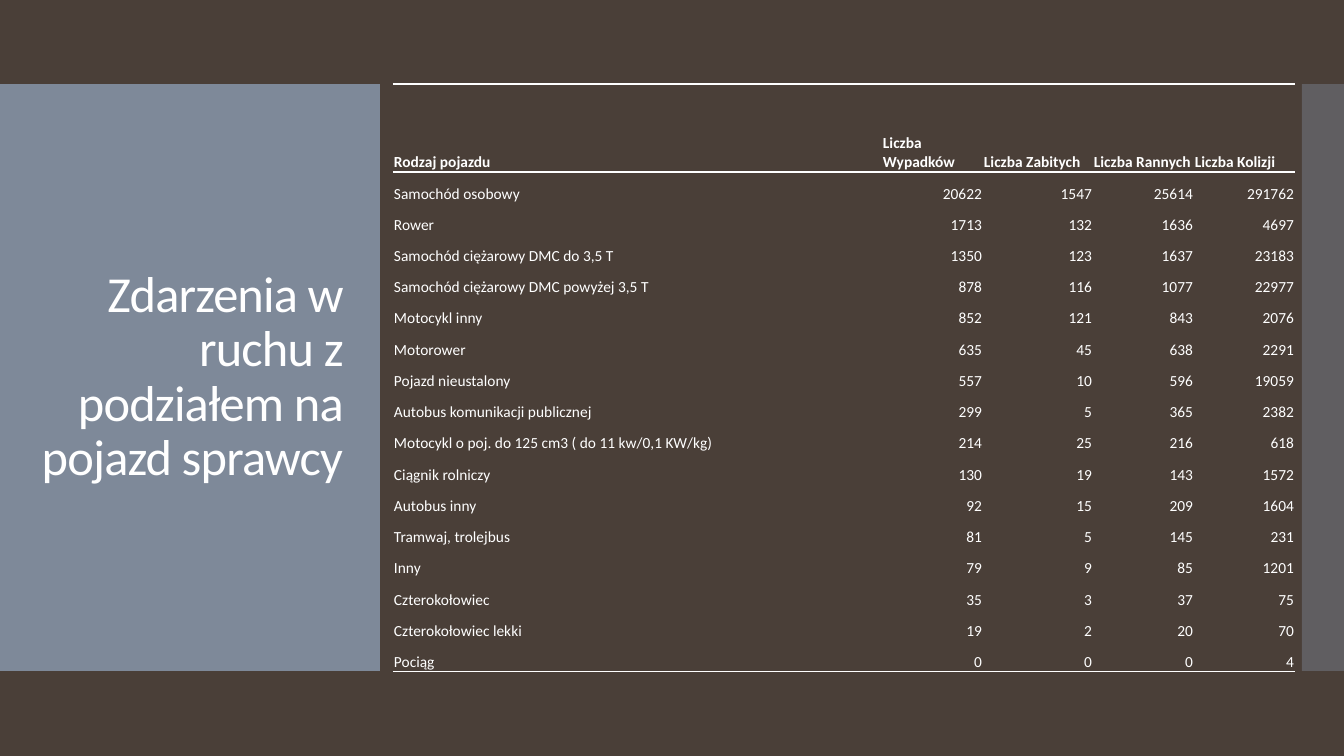
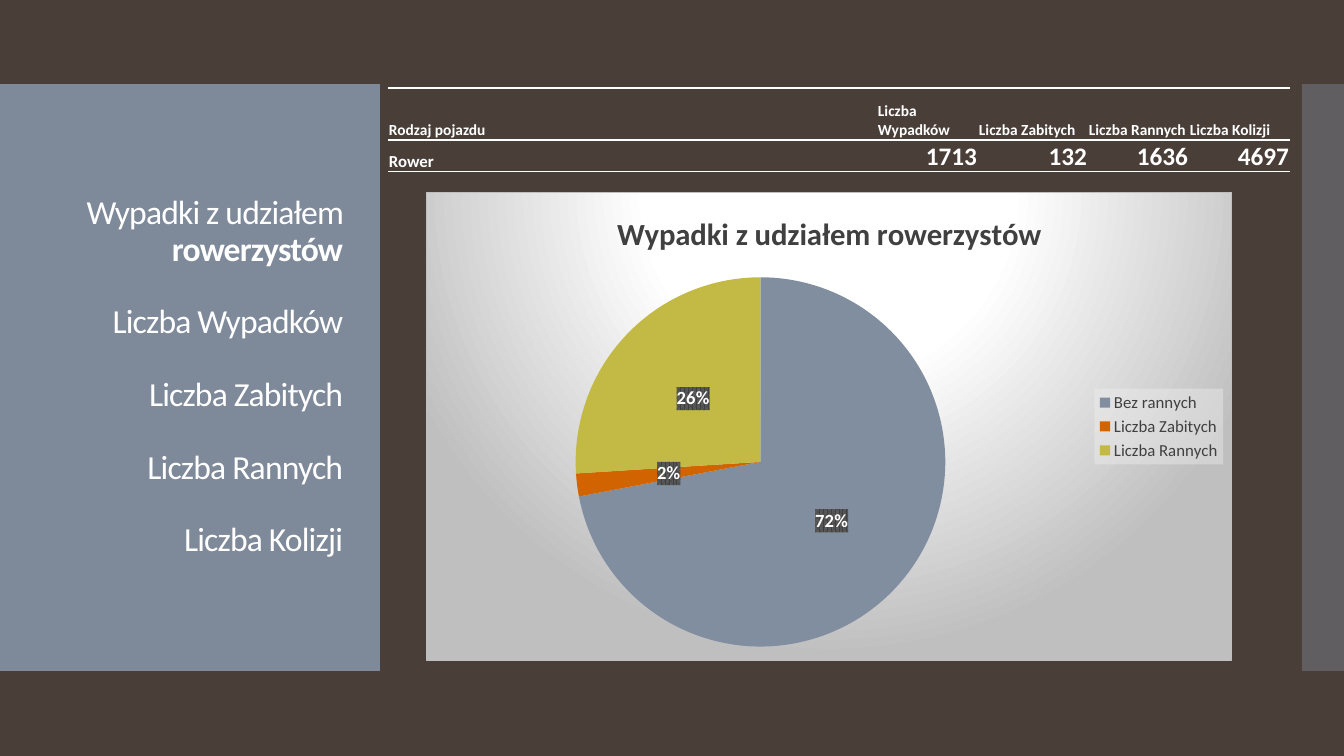
from lxml import etree
from pptx import Presentation
from pptx.chart.data import CategoryChartData
from pptx.dml.color import RGBColor
from pptx.enum.chart import XL_CHART_TYPE, XL_LABEL_POSITION, XL_LEGEND_POSITION
from pptx.enum.shapes import MSO_SHAPE
from pptx.enum.text import MSO_ANCHOR, PP_ALIGN
from pptx.oxml import parse_xml
from pptx.oxml.ns import nsdecls, qn
from pptx.util import Pt

PIE = XL_CHART_TYPE.PIE
LABEL_CENTER = XL_LABEL_POSITION.CENTER
LEGEND_RIGHT = XL_LEGEND_POSITION.RIGHT
RECTANGLE = MSO_SHAPE.RECTANGLE
MIDDLE, BOTTOM = MSO_ANCHOR.MIDDLE, MSO_ANCHOR.BOTTOM
LEFT, RIGHT = PP_ALIGN.LEFT, PP_ALIGN.RIGHT

SLIDE_WIDTH, SLIDE_HEIGHT = 1344, 756
EMU_PER_PX = 12192000 / SLIDE_WIDTH

BROWN = RGBColor(0x4A, 0x3F, 0x38)
SLATE = RGBColor(0x81, 0x8E, 0x9F)
ORANGE = RGBColor(0xD2, 0x64, 0x00)
OLIVE = RGBColor(0xC3, 0xBA, 0x45)
WHITE = RGBColor(0xFF, 0xFF, 0xFF)
PALE = RGBColor(0xF2, 0xF2, 0xF2)
SILVER = RGBColor(0xBF, 0xBF, 0xBF)
CHARCOAL = RGBColor(0x40, 0x40, 0x40)
GRAPHITE = RGBColor(0x59, 0x59, 0x59)

FONT = "Calibri"
PLAIN_TABLE_STYLE = "{2D5ABB26-0587-4C30-8999-92F81FD0307C}"

BANDS = [((0, 84, 380, 587), 95), ((1302, 84, 42, 587), 40)]
TITLE_BOX = (28, 124, 325, 507)
COLUMN_WIDTHS = [489, 101, 110, 101, 101]

HEADER = ["Rodzaj pojazdu", "Liczba Wypadków", "Liczba Zabitych",
          "Liczba Rannych", "Liczba Kolizji"]
VEHICLES = [
    ["Samochód osobowy", 20622, 1547, 25614, 291762],
    ["Rower", 1713, 132, 1636, 4697],
    ["Samochód ciężarowy DMC do 3,5 T", 1350, 123, 1637, 23183],
    ["Samochód ciężarowy DMC powyżej 3,5 T", 878, 116, 1077, 22977],
    ["Motocykl inny", 852, 121, 843, 2076],
    ["Motorower", 635, 45, 638, 2291],
    ["Pojazd nieustalony", 557, 10, 596, 19059],
    ["Autobus komunikacji publicznej", 299, 5, 365, 2382],
    ["Motocykl o poj. do 125 cm3 ( do 11 kw/0,1 KW/kg)", 214, 25, 216, 618],
    ["Ciągnik rolniczy", 130, 19, 143, 1572],
    ["Autobus inny", 92, 15, 209, 1604],
    ["Tramwaj, trolejbus", 81, 5, 145, 231],
    ["Inny", 79, 9, 85, 1201],
    ["Czterokołowiec", 35, 3, 37, 75],
    ["Czterokołowiec lekki", 19, 2, 20, 70],
    ["Pociąg", 0, 0, 0, 4],
]
BICYCLES = VEHICLES[1]
PIE_SLICES = [("Bez rannych", 72, SLATE), ("Liczba Zabitych", 2, ORANGE),
              ("Liczba Rannych", 26, OLIVE)]


def px(length):
    return round(length * EMU_PER_PX)


def place(box):
    return [px(length) for length in box]


def set_attributes(target, values):
    for name, value in values.items():
        setattr(target, name, value)


def format_font(font, size, color=WHITE, bold=False):
    set_attributes(font, {"name": FONT, "size": Pt(size), "bold": bold})
    font.color.rgb = color


def set_alpha(shape, percent):
    color = shape.element.spPr.find(".//" + qn("a:srgbClr"))
    etree.SubElement(color, qn("a:alpha"), val=str(percent * 1000))


def add_bands(slide):
    """Draw the two side bands behind everything else on the slide."""
    for position, (box, opacity) in enumerate(BANDS, start=2):
        band = slide.shapes.add_shape(RECTANGLE, *place(box))
        band.shadow.inherit = False
        band.line.fill.background()
        band.fill.solid()
        band.fill.fore_color.rgb = SLATE
        set_alpha(band, opacity)
        slide.shapes.element.insert(position, band.element)


def fill_title(title, box, paragraphs, size, gap=0):
    """Each paragraph is a list of (text, bold) runs; gap is in points."""
    set_attributes(title, dict(zip(("left", "top", "width", "height"), place(box))))
    frame = title.text_frame
    set_attributes(frame, {"word_wrap": True, "vertical_anchor": MIDDLE})
    for index, runs in enumerate(paragraphs):
        paragraph = frame.add_paragraph() if index else frame.paragraphs[0]
        set_attributes(paragraph, {
            "alignment": RIGHT, "line_spacing": 0.9,
            "space_before": Pt(gap if index else 0)})
        for text, bold in runs:
            run = paragraph.add_run()
            run.text = text
            format_font(run.font, size, bold=bold)
            run._r.get_or_add_rPr().set("spc", "-60")


def add_titled_slide(presentation, paragraphs, size, gap=0):
    slide = presentation.slides.add_slide(presentation.slide_layouts[5])
    add_bands(slide)
    fill_title(slide.shapes.title, TITLE_BOX, paragraphs, size, gap)
    return slide


def rule_cell(cell, sides):
    properties = cell._tc.get_or_add_tcPr()
    for position, side in enumerate(sides):
        properties.insert(position, parse_xml(
            f'<a:{side} {nsdecls("a")} w="12700">{solid_xml(WHITE)}</a:{side}>'))


def fill_cell(cell, value, size, bold):
    set_attributes(cell, {
        "margin_left": px(1), "margin_right": px(1), "margin_top": px(1),
        "margin_bottom": 0, "vertical_anchor": BOTTOM})
    cell.fill.background()
    paragraph = cell.text_frame.paragraphs[0]
    paragraph.alignment = RIGHT if isinstance(value, int) else LEFT
    run = paragraph.add_run()
    run.text = str(value)
    format_font(run.font, size, bold=bold)


def add_ruled_table(slide, box, rows, first_height, label_size=11, value_size=11):
    """The first row is bold and ruled; later rows share the height left."""
    frame = slide.shapes.add_table(len(rows), len(COLUMN_WIDTHS), *place(box))
    table = frame.table
    set_attributes(table, {"first_row": False, "horz_banding": False})
    table._tbl.tblPr.find(qn("a:tableStyleId")).text = PLAIN_TABLE_STYLE
    for column, width in zip(table.columns, COLUMN_WIDTHS):
        column.width = px(width)
    last = len(rows) - 1
    for index, values in enumerate(rows):
        first = index == 0
        height = first_height if first else (box[3] - first_height) / last
        table.rows[index].height = px(height)
        sides = ["lnT", "lnB"] if first else ["lnB"] if index == last else []
        for cell, value in zip(table.rows[index].cells, values):
            size = value_size if isinstance(value, int) else label_size
            fill_cell(cell, value, size, bold=first)
            rule_cell(cell, sides)


def color_xml(color, opacity=100):
    return f'<a:srgbClr val="{color}"><a:alpha val="{opacity * 1000}"/></a:srgbClr>'


def solid_xml(color, opacity=100):
    return f'<a:solidFill>{color_xml(color, opacity)}</a:solidFill>'


def chart_properties(content):
    return parse_xml(f'<c:spPr {nsdecls("c", "a")}>{content}</c:spPr>')


def style_chart_area(chart):
    stops = "".join(
        f'<a:gs pos="{percent * 1000}">{color_xml(color)}</a:gs>'
        for percent, color in [(0, WHITE), (39, WHITE), (100, SILVER)])
    properties = chart_properties(
        f'<a:gradFill><a:gsLst>{stops}</a:gsLst><a:path path="circle">'
        '<a:fillToRect l="50000" t="-80000" r="50000" b="180000"/></a:path></a:gradFill>'
        f'<a:ln w="9525">{solid_xml(SILVER)}</a:ln>')
    chart._chartSpace.find(qn("c:chart")).addnext(properties)


def style_legend(chart):
    chart.has_legend = True
    legend = chart.legend
    set_attributes(legend, {"position": LEGEND_RIGHT, "include_in_layout": False})
    format_font(legend.font, 12, CHARCOAL)
    legend._element.find(qn("c:txPr")).addprevious(
        chart_properties(solid_xml(PALE, 39)))


def style_percent_labels(plot):
    plot.has_data_labels = True
    labels = plot.data_labels
    set_attributes(labels, {
        "show_percentage": True, "show_value": False, "position": LABEL_CENTER,
        "number_format": "0%", "number_format_is_linked": False})
    format_font(labels.font, 13.3, WHITE, bold=True)
    labels._element.find(qn("c:txPr")).addprevious(chart_properties(
        f'<a:pattFill prst="pct75"><a:fgClr>{color_xml(CHARCOAL)}</a:fgClr>'
        f'<a:bgClr>{color_xml(GRAPHITE)}</a:bgClr></a:pattFill>'))


def add_pie(slide, box, title, slices):
    names, values, colors = zip(*slices)
    data = CategoryChartData()
    data.categories = names
    data.add_series(title, values)
    chart = slide.shapes.add_chart(PIE, *place(box), data).chart
    format_font(chart.font, 10)
    style_chart_area(chart)
    chart.has_title = True
    heading = chart.chart_title.text_frame
    heading.text = title
    format_font(heading.paragraphs[0].runs[0].font, 22, CHARCOAL, bold=True)
    style_legend(chart)
    plot = chart.plots[0]
    plot.vary_by_categories = True
    style_percent_labels(plot)
    for index, color in enumerate(colors):
        point = plot.series[0].points[index].format
        point.fill.solid()
        point.fill.fore_color.rgb = color
        point.line.fill.background()


def build_vehicle_slide(presentation):
    title = "Zdarzenia w ruchu z podziałem na pojazd sprawcy"
    slide = add_titled_slide(presentation, [[(title, False)]], 36)
    add_ruled_table(slide, (393, 84, 902, 588), [HEADER, *VEHICLES], 88)


def build_bicycle_slide(presentation):
    opening = [("Wypadki z udziałem ", False), ("rowerzystów", True)]
    measures = [[(name, False)] for name in HEADER[1:]]
    slide = add_titled_slide(presentation, [opening, *measures], 24, gap=26)
    add_ruled_table(slide, (388, 140, 902, 31), [BICYCLES], 31, 12, 18)
    add_ruled_table(slide, (388, 88, 902, 52), [HEADER], 52)
    add_pie(slide, (426, 192, 806, 469), "Wypadki z udziałem rowerzystów", PIE_SLICES)


def main():
    presentation = Presentation()
    presentation.slide_width = px(SLIDE_WIDTH)
    presentation.slide_height = px(SLIDE_HEIGHT)
    background = presentation.slide_master.background.fill
    background.solid()
    background.fore_color.rgb = BROWN
    build_vehicle_slide(presentation)
    build_bicycle_slide(presentation)
    presentation.save("out.pptx")


if __name__ == "__main__":
    main()
